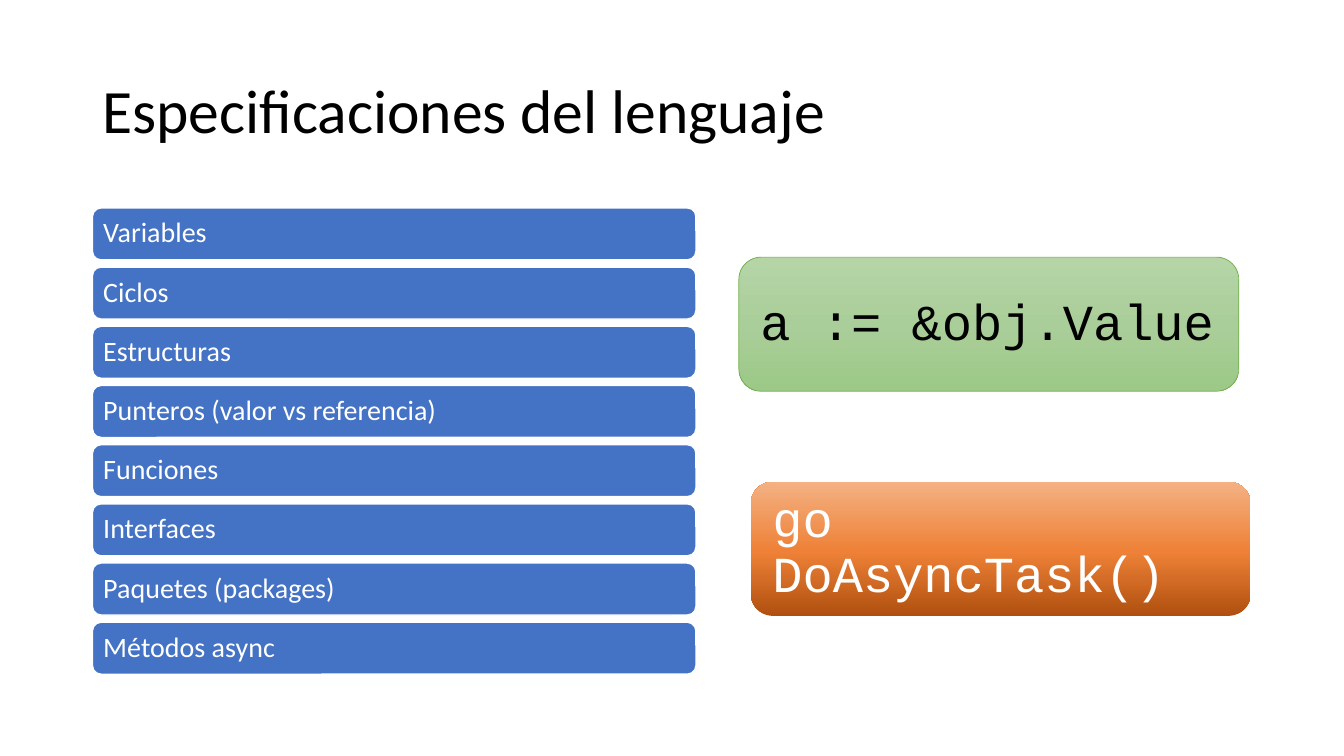
import copy

import pptx
import pptx.dml.color
import pptx.enum.shapes
import pptx.enum.text
import pptx.oxml.ns
import pptx.util

Cm = pptx.util.Cm
Pt = pptx.util.Pt

TOPICS = [
    "Variables",
    "Ciclos",
    "Estructuras",
    "Punteros (valor vs referencia)",
    "Funciones",
    "Interfaces",
    "Paquetes (packages)",
    "Métodos async",
]
GREEN_STOPS = [(0, "B5D5A7"), (0.5, "AACE9A"), (1, "9CC987")]
ORANGE_STOPS = [(0, "B0500F"), (0.48, "EE8137"), (1, "F4B183")]


def color(value):
    return pptx.dml.color.RGBColor.from_string(value)


def apply_format(target, values):
    for name, value in values.items():
        setattr(target, name, value)


def write_text(shape, text, font_name, size, font_color, margin):
    frame = shape.text_frame
    apply_format(frame, {
        "word_wrap": True,
        "vertical_anchor": pptx.enum.text.MSO_ANCHOR.MIDDLE,
        "margin_left": Cm(margin),
        "margin_right": Cm(margin),
        "margin_top": Cm(margin),
        "margin_bottom": Cm(margin),
    })
    para = frame.paragraphs[0]
    apply_format(para, {
        "alignment": pptx.enum.text.PP_ALIGN.LEFT,
        "line_spacing": 0.9,
    })
    span = para.add_run()
    span.text = text
    apply_format(span.font, {"name": font_name, "size": Pt(size)})
    span.font.color.rgb = color(font_color)


def add_rounded_box(page, box):
    shape = page.shapes.add_shape(
        pptx.enum.shapes.MSO_SHAPE.ROUNDED_RECTANGLE, *map(Cm, box))
    shape.shadow.inherit = False
    return shape


def set_outline(shape, line_color, width):
    shape.line.color.rgb = color(line_color)
    shape.line.width = Pt(width)


def fill_gradient(shape, stops, angle):
    shape.fill.gradient()
    shape.fill.gradient_angle = angle
    stop_list = next(shape.element.iter(pptx.oxml.ns.qn("a:gsLst")))
    while len(stop_list) < len(stops):
        stop_list.append(copy.deepcopy(stop_list[0]))
    for stop, (position, value) in zip(shape.fill.gradient_stops, stops):
        stop.position = position
        stop.color.rgb = color(value)


def add_title(page, box, text):
    shape = page.shapes.add_textbox(*map(Cm, box))
    write_text(shape, text, "Calibri", 44, "000000", 0.25)


def add_topic_list(page, box, topics):
    left, top, width, height = box
    bar_height = 1.31
    pitch = (height - bar_height) / (len(topics) - 1)
    for index, topic in enumerate(topics):
        bar = add_rounded_box(page, (left, top + index * pitch, width, bar_height))
        bar.fill.solid()
        bar.fill.fore_color.rgb = color("4472C4")
        set_outline(bar, "FFFFFF", 1)
        write_text(bar, topic, "Calibri", 20, "FFFFFF", 0.21)


def add_code_box(page, box, code, stops, angle, font_color, line_color=None):
    shape = add_rounded_box(page, box)
    fill_gradient(shape, stops, angle)
    if line_color:
        set_outline(shape, line_color, 0.5)
    else:
        shape.line.fill.background()
    write_text(shape, code, "Courier New", 36, font_color, 0.38)


def main():
    deck = pptx.Presentation()
    apply_format(deck, {"slide_width": Cm(33.87), "slide_height": Cm(19.05)})
    page = deck.slides.add_slide(deck.slide_layouts[6])
    add_title(page, (2.33, 1.01, 29.21, 3.68), "Especificaciones del lenguaje")
    add_topic_list(page, (2.33, 5.24, 15.21, 11.75), TOPICS)
    add_code_box(page, (18.62, 6.48, 12.6, 3.38), "a := &obj.Value",
                 GREEN_STOPS, 270, "000000", "70AD47")
    add_code_box(page, (18.92, 12.14, 12.6, 3.38), "go DoAsyncTask()",
                 ORANGE_STOPS, 90, "FFFFFF")
    deck.save("out.pptx")


if __name__ == "__main__":
    main()
